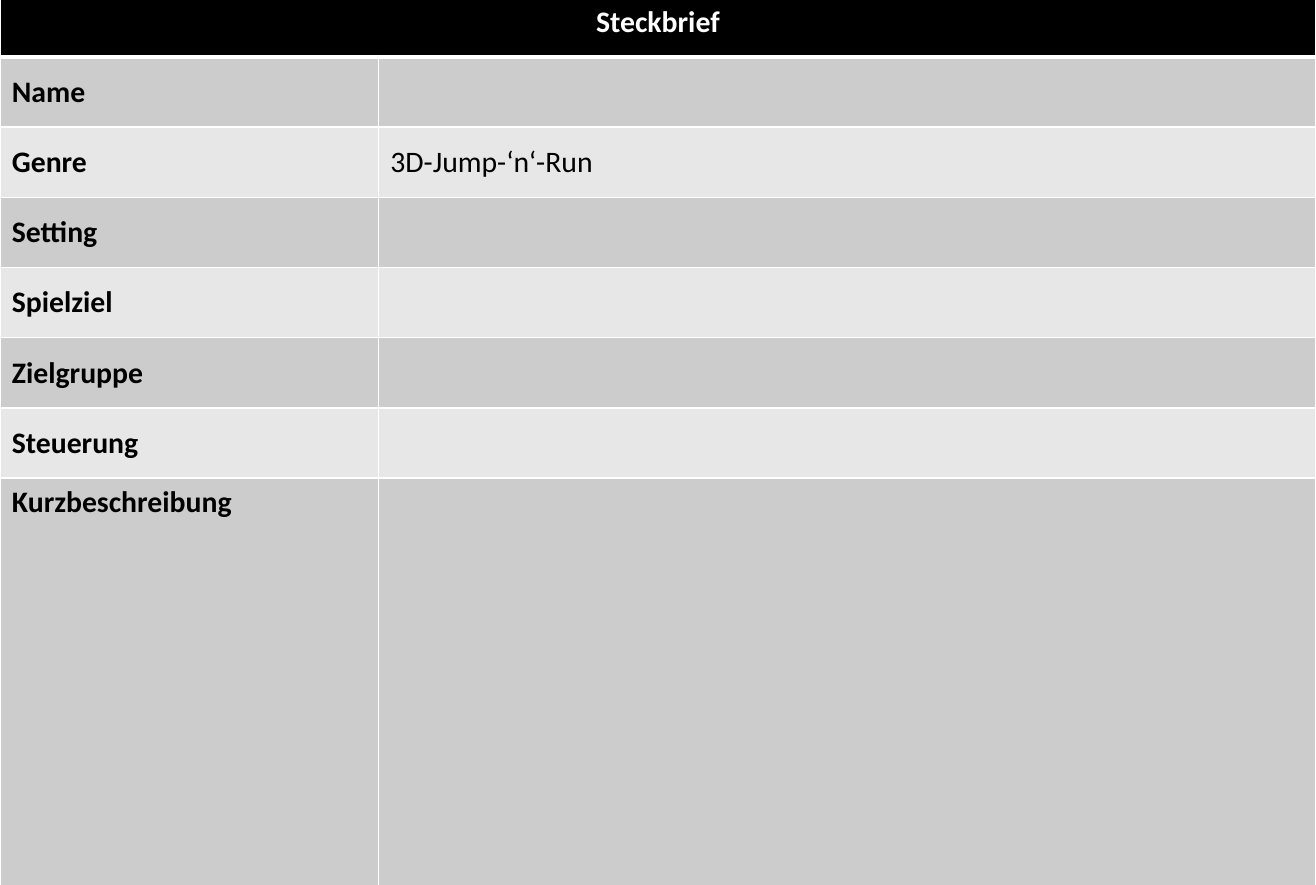
from lxml import etree
from pptx import Presentation
from pptx.dml.color import RGBColor
from pptx.enum.text import MSO_ANCHOR, PP_ALIGN
from pptx.oxml.ns import qn
from pptx.util import Pt

COLORS = {"header": "000000", "dark": "CCCCCC", "light": "E7E7E7",
          "text": "000000", "white": "FFFFFF"}
FONT, FONT_SIZE = "Calibri", 18
SLIDE_WIDTH, SLIDE_HEIGHT = 796.32, 535.68
TABLE_TOP = -8
LABEL_WIDTH = 229
ROW_HEIGHT, DESCRIPTION_HEIGHT = 42.5, 247
TITLE = "Steckbrief"
PROFILE = [("Name", ""), ("Genre", "3D-Jump-‘n‘-Run"), ("Setting", ""),
           ("Spielziel", ""), ("Zielgruppe", ""), ("Steuerung", ""),
           ("Kurzbeschreibung", "")]


def set_borders(cell, top=1, bottom=1):
    """Draw white borders; they precede the fill in the cell properties."""
    props = cell._tc.get_or_add_tcPr()
    widths = {"lnL": 1, "lnR": 1, "lnT": top, "lnB": bottom}
    for index, (tag, width) in enumerate(widths.items()):
        line = etree.Element(qn(f"a:{tag}"), w=str(Pt(width)))
        fill = etree.SubElement(line, qn("a:solidFill"))
        etree.SubElement(fill, qn("a:srgbClr"), val=COLORS["white"])
        props.insert(index, line)


def style_cell(cell, text, fill, color="text", bold=False,
               anchor=MSO_ANCHOR.MIDDLE, align=PP_ALIGN.LEFT):
    cell.fill.solid()
    cell.fill.fore_color.rgb = RGBColor.from_string(COLORS[fill])
    cell.vertical_anchor = anchor
    paragraph = cell.text_frame.paragraphs[0]
    paragraph.alignment = align
    paragraph.font.size = Pt(FONT_SIZE)
    if text:
        run = paragraph.add_run()
        run.text = text
        run.font.name, run.font.size, run.font.bold = FONT, Pt(FONT_SIZE), bold
        run.font.color.rgb = RGBColor.from_string(COLORS[color])


def add_profile_table(slide):
    heights = [ROW_HEIGHT] * len(PROFILE) + [DESCRIPTION_HEIGHT]
    table = slide.shapes.add_table(
        len(heights), 2, Pt(0), Pt(TABLE_TOP),
        Pt(SLIDE_WIDTH), Pt(sum(heights))).table
    table.columns[0].width = Pt(LABEL_WIDTH)
    table.columns[1].width = Pt(SLIDE_WIDTH - LABEL_WIDTH)
    for row, height in zip(table.rows, heights):
        row.height = Pt(height)

    # Header across both columns
    header = table.cell(0, 0)
    header.merge(table.cell(0, 1))
    style_cell(header, TITLE, "header", "white", True, align=PP_ALIGN.CENTER)
    for cell in table.rows[0].cells:
        set_borders(cell, bottom=3)

    # Banded rows; the tall description row starts at the top
    for number, entry in enumerate(PROFILE, start=1):
        fill = "dark" if number % 2 else "light"
        last = number == len(PROFILE)
        anchor = MSO_ANCHOR.TOP if last else MSO_ANCHOR.MIDDLE
        for column, text in enumerate(entry):
            cell = table.cell(number, column)
            style_cell(cell, text, fill, bold=column == 0, anchor=anchor)
            set_borders(cell, top=3 if number == 1 else 1)


def main():
    prs = Presentation()
    prs.slide_width, prs.slide_height = Pt(SLIDE_WIDTH), Pt(SLIDE_HEIGHT)
    slide = prs.slides.add_slide(prs.slide_layouts[6])
    add_profile_table(slide)
    prs.save("out.pptx")


main()
